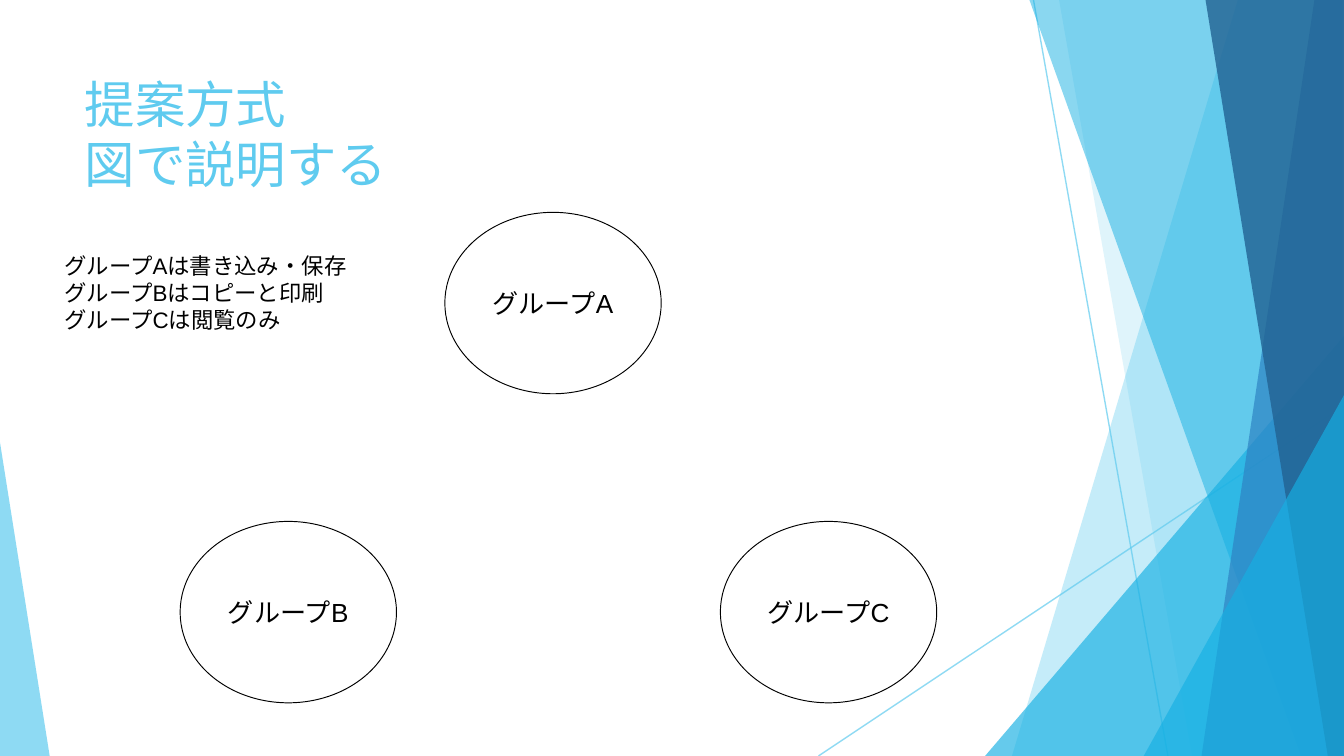
from lxml import etree
from pptx import Presentation
from pptx.dml.color import RGBColor
from pptx.enum.shapes import MSO_CONNECTOR, MSO_SHAPE
from pptx.enum.text import MSO_ANCHOR, PP_ALIGN
from pptx.oxml.ns import qn
from pptx.util import Inches, Pt

STRAIGHT = MSO_CONNECTOR.STRAIGHT
TRIANGLE = MSO_SHAPE.ISOSCELES_TRIANGLE
OVAL = MSO_SHAPE.OVAL
TOP, MIDDLE = MSO_ANCHOR.TOP, MSO_ANCHOR.MIDDLE
LEFT, CENTER = PP_ALIGN.LEFT, PP_ALIGN.CENTER

WIDTH = 10
HEIGHT = WIDTH * 9 / 16
SKY, AZURE, BLUE, NAVY, BLACK = "5FCBEF", "16B0E3", "2E83C3", "226292", "000000"

TITLE = ["提案方式", "図で説明する"]
RULES = ["グループAは書き込み・保存", "グループBはコピーと印刷", "グループCは閲覧のみ"]
GROUPS = [
    ("グループA", 3.31, 1.58, 0.08),
    ("グループB", 1.34, 3.88, 0.08),
    ("グループC", 5.36, 3.88, 0.1),
]
GROUP_SIZE = (1.61, 1.35)

RAYS = [((7.69, 0), (8.69, HEIGHT)), ((10, 3.02), (6.09, HEIGHT))]
DECORATION = [
    ("band", (9.21, 10, 7.53), SKY, 36),
    ("band", (7.88, 10, 8.87), SKY, 20),
    ("wedge", (7.33, 2.5, 2.67, 1), AZURE, 66),
    ("band", (7.66, 9.99, 9.68), AZURE, 50),
    ("band", (9.78, 10, 8.94), BLUE, 70),
    ("band", (8.97, 10, 9.88), NAVY, 80),
    ("wedge", (8.51, 2.94, 1.49, 1), AZURE, 66),
    ("wedge", (0, 3.29, 0.37, 0), SKY, 70),
]


def paint(color_format, color, opacity=100):
    color_format.rgb = RGBColor.from_string(color)
    if opacity < 100:
        for node in color_format._xFill.iter(qn("a:srgbClr")):
            etree.SubElement(node, qn("a:alpha"), val=str(opacity * 1000))


def add_ray(start, end):
    ray = slide.shapes.add_connector(STRAIGHT, *map(Inches, start + end))
    ray.line.width = Pt(0.75)
    ray.line.fill.solid()
    paint(ray.line.fill.fore_color, SKY, 70)
    etree.SubElement(ray._element.spPr, qn("a:effectLst"))


def add_band(top_left, right, bottom_left):
    corners = [(top_left, 0), (right, 0), (right, HEIGHT), (bottom_left, HEIGHT)]
    points = [(Inches(x), Inches(y)) for x, y in corners]
    builder = slide.shapes.build_freeform(*points[0])
    builder.add_line_segments(points[1:], close=True)
    return builder.convert_to_shape()


def add_wedge(left, top, width, apex):
    box = map(Inches, (left, top, width, HEIGHT - top))
    wedge = slide.shapes.add_shape(TRIANGLE, *box)
    wedge.adjustments[0] = apex
    return wedge


def write(frame, paragraphs, size, font, color, align=LEFT, anchor=TOP):
    frame.word_wrap = True
    frame.vertical_anchor = anchor
    for number, lines in enumerate(paragraphs):
        paragraph = frame.add_paragraph() if number else frame.paragraphs[0]
        paragraph.alignment = align
        for position, line in enumerate(lines):
            if position:
                paragraph.add_line_break()
            run = paragraph.add_run()
            run.text = line
            run.font.size = Pt(size)
            run.font.name = font
            paint(run.font.color, color)
            etree.SubElement(run._r.get_or_add_rPr(), qn("a:ea"), typeface=font)


prs = Presentation()
prs.slide_width, prs.slide_height = Inches(WIDTH), Inches(HEIGHT)
slide = prs.slides.add_slide(prs.slide_layouts[6])

for start, end in RAYS:
    add_ray(start, end)

BUILDERS = {"band": add_band, "wedge": add_wedge}
for kind, geometry, color, opacity in DECORATION:
    facet = BUILDERS[kind](*geometry)
    facet.shadow.inherit = False
    facet.fill.solid()
    paint(facet.fill.fore_color, color, opacity)
    facet.line.fill.background()

title = slide.shapes.add_textbox(*map(Inches, (0.56, 0.5, 7.05, 1.08))).text_frame
title.margin_left = title.margin_right = Inches(0.07)
title.margin_top = title.margin_bottom = Inches(0.04)
write(title, [TITLE], 27, "Cabin", SKY)

for label, left, top, margin in GROUPS:
    group = slide.shapes.add_shape(OVAL, *map(Inches, (left, top) + GROUP_SIZE))
    group.shadow.inherit = False
    group.fill.background()
    group.line.width = Pt(0.5)
    group.line.fill.solid()
    paint(group.line.fill.fore_color, BLACK)
    group.text_frame.margin_left = group.text_frame.margin_right = Inches(margin)
    write(group.text_frame, [[label]], 14, "Arial", BLACK, CENTER, MIDDLE)

rules = slide.shapes.add_textbox(*map(Inches, (0.38, 1.83, 2.42, 0.94))).text_frame
write(rules, [[rule] for rule in RULES], 12, "Arial", BLACK)

prs.save("out.pptx")
